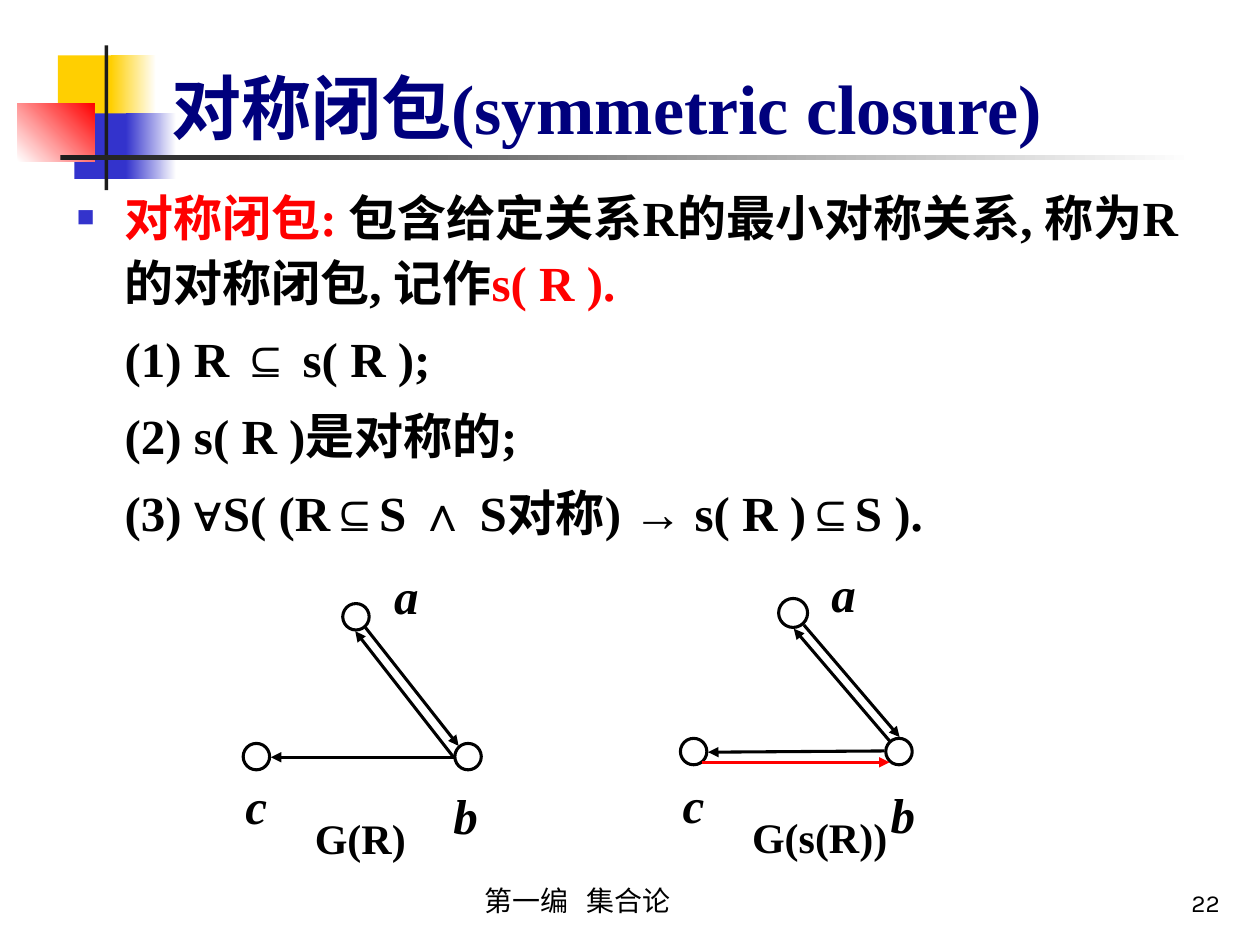
from dataclasses import dataclass

from lxml.etree import SubElement
from pptx import Presentation
from pptx.dml.color import RGBColor as Color
from pptx.enum.shapes import MSO_CONNECTOR as Connector, MSO_SHAPE as Shape
from pptx.enum.text import MSO_ANCHOR as Anchor, MSO_AUTO_SIZE as AutoSize, PP_ALIGN as Align
from pptx.oxml.ns import qn
from pptx.util import Inches, Pt


@dataclass(frozen=True)
class Theme:
    serif: str = "Times New Roman"
    sans: str = "Karla"
    black: str = "000000"
    white: str = "FFFFFF"
    navy: str = "00007D"
    red: str = "FF0000"
    blue: str = "3333CC"
    yellow: str = "FFCF01"
    dark: str = "1C1C1C"
    title: int = 40
    body: int = 28
    caption: int = 24
    footer: int = 16
    number: int = 14
    stroke: float = 1.75
    thin: float = 1.5
    spacing: float = 1.1


THEME = Theme()


def rgb(value):
    return Color.from_string(value)


def style(span, size, color=THEME.black, face=THEME.serif, bold=True, italic=False):
    font = span.font
    font.name, font.size = face, Pt(size)
    font.bold, font.italic = bold, italic
    font.color.rgb = rgb(color)


def place(item, left, top, width, height):
    item.left, item.top = Inches(left), Inches(top)
    item.width, item.height = Inches(width), Inches(height)


def add_bar(page, box, color, end=None, angle=0):
    """Borderless rectangle, plain or fading from color to end."""
    bar = page.shapes.add_shape(Shape.RECTANGLE, *map(Inches, box))
    bar.shadow.inherit = False
    bar.line.fill.background()
    if end is None:
        bar.fill.solid()
        bar.fill.fore_color.rgb = rgb(color)
        return
    bar.fill.gradient()
    bar.fill.gradient_angle = angle
    for stop, value, position in zip(bar.fill.gradient_stops, (color, end), (0, 1)):
        stop.color.rgb = rgb(value)
        stop.position = position


def add_label(shapes, text, box, size, anchor=Anchor.TOP, **look):
    label = shapes.add_textbox(*map(Inches, box))
    frame = label.text_frame
    frame.word_wrap = True
    frame.vertical_anchor = anchor
    frame.text = text
    para = frame.paragraphs[0]
    para.line_spacing = THEME.spacing
    style(para.runs[0], size, **look)
    return para


def add_ornament(page, left, top):
    """Coloured squares and the two rules beside the title."""
    def bar(x, y, width, height, *fill):
        add_bar(page, (left + x, top + y, width, height), *fill)

    bar(0.32, 0.08, 0.48, 0.52, THEME.yellow)
    bar(0.74, 0.08, 0.36, 0.52, THEME.yellow, THEME.white)
    bar(0.45, 0.54, 0.46, 0.52, THEME.blue)
    bar(0.86, 0.54, 0.4, 0.52, THEME.blue, THEME.white)
    bar(0, 0.46, 0.61, 0.46, THEME.white, THEME.red, 45)
    bar(0.69, 0, 0.03, 1.15, THEME.dark)
    bar(0.34, 0.87, 9, 0.04, THEME.dark, THEME.white)


def fill_title(page, box):
    title = page.shapes.title
    place(title, *box)
    frame = title.text_frame
    frame.text = "对称闭包(symmetric closure)"
    frame.auto_size = AutoSize.NONE
    frame.vertical_anchor = Anchor.BOTTOM
    para = frame.paragraphs[0]
    para.alignment = Align.LEFT
    style(para.runs[0], THEME.title, THEME.navy)


def set_bullet(para, first):
    """Square bullet with a hanging first line, or a plain indented line."""
    props = para._p.get_or_add_pPr()
    props.set("marL", str(Inches(0.38)))
    props.set("indent", str(Inches(-0.38) if first else 0))
    if not first:
        SubElement(props, qn("a:buNone"))
        return
    tint = SubElement(props, qn("a:buClr"))
    SubElement(tint, qn("a:srgbClr"), val=THEME.blue)
    SubElement(props, qn("a:buSzPct"), val="60000")
    SubElement(props, qn("a:buChar"), char="■")


def fill_body(page, box):
    body = page.placeholders[1]
    place(body, *box)
    frame = body.text_frame
    frame.auto_size = AutoSize.NONE
    frame.vertical_anchor = Anchor.TOP
    lines = [
        [("对称闭包: ", THEME.red),
         ("包含给定关系R的最小对称关系, 称为R的对称闭包, 记作", THEME.black),
         ("s( R ).", THEME.red)],
        [("(1) R ⊆ s( R );", THEME.black)],
        [("(2) s( R )是对称的;", THEME.black)],
        [("(3) ∀S( (R⊆S ∧ S对称) → s( R )⊆S ).", THEME.black)],
    ]
    for index, line in enumerate(lines):
        para = frame.add_paragraph() if index else frame.paragraphs[0]
        para.line_spacing = THEME.spacing
        para.space_before = Pt(7)
        set_bullet(para, first=index == 0)
        for text, color in line:
            span = para.add_run()
            span.text = text
            style(span, THEME.body, color)


def add_arrow(shapes, left, top, start, end, color=THEME.black, width=THEME.stroke):
    ends = (left + start[0], top + start[1], left + end[0], top + end[1])
    arrow = shapes.add_connector(Connector.STRAIGHT, *map(Inches, ends))
    arrow.line.color.rgb = rgb(color)
    arrow.line.width = Pt(width)
    SubElement(arrow.line._get_or_add_ln(), qn("a:tailEnd"), type="triangle")
    SubElement(arrow._element.spPr, qn("a:effectLst"))


def add_graph(page, left, top, caption, nodes, edges, added=()):
    """Directed graph; added holds the edges that the closure brings in."""
    shapes = page.shapes.add_group_shape().shapes
    for x, y, size in nodes:
        node = shapes.add_shape(
            Shape.OVAL, *map(Inches, (left + x, top + y, size, size)))
        node.shadow.inherit = False
        node.fill.background()
        node.line.color.rgb = rgb(THEME.black)
        node.line.width = Pt(THEME.stroke)
    for name, x, y in (("a", 1.18, 0), ("c", 0, 1.67), ("b", 1.65, 1.75)):
        add_label(shapes, name, (left + x, top + y, 0.47, 0.62), THEME.body, italic=True)
    add_label(shapes, caption, (left + 0.55, top + 1.97, 1.89, 0.54), THEME.caption)
    for start, end in edges:
        add_arrow(shapes, left, top, start, end)
    for start, end in added:
        add_arrow(shapes, left, top, start, end, THEME.red, THEME.thin)


def add_footer(page, top, height):
    para = add_label(page.shapes, "第一编\t集合论", (3.75, top, 3.17, height),
                     THEME.footer, Anchor.BOTTOM, bold=False)
    stops = SubElement(para._p.get_or_add_pPr(), qn("a:tabLst"))
    SubElement(stops, qn("a:tab"), pos=str(Inches(0.81)), algn="l")
    number = add_label(page.shapes, "22", (7.7, top, 2.08, height),
                       THEME.number, Anchor.BOTTOM, face=THEME.sans, bold=False)
    number.alignment = Align.RIGHT
    number.line_spacing = 1.0


def main():
    deck = Presentation()
    deck.slide_width, deck.slide_height = Inches(10), Inches(7.5)
    page = deck.slides.add_slide(deck.slide_layouts[1])
    add_ornament(page, 0.14, 0.36)
    # Text goes in front of the ornament
    for holder in list(page.placeholders):
        page.shapes._spTree.append(holder._element)
    fill_title(page, (1.26, 0.39, 8.52, 0.84))
    fill_body(page, (0.51, 1.39, 9.13, 5.36))
    # Relation and its symmetric closure
    add_graph(page, 1.85, 4.39, "G(R)",
              nodes=[(0.87, 0.4, 0.21), (0.08, 1.51, 0.21), (1.76, 1.51, 0.21)],
              edges=[((1.05, 0.59), (1.79, 1.53)), ((1.75, 1.62), (0.97, 0.62)),
                     ((1.75, 1.62), (0.3, 1.62))])
    add_graph(page, 5.32, 4.38, "G(s(R))",
              nodes=[(0.86, 0.37, 0.23), (0.08, 1.48, 0.21), (1.71, 1.48, 0.21)],
              edges=[((1.06, 0.58), (1.82, 1.47)), ((1.74, 1.5), (0.98, 0.61)),
                     ((1.7, 1.58), (0.3, 1.59))],
              added=[((0.25, 1.67), (1.74, 1.67))])
    add_footer(page, 6.83, 0.5)
    deck.save("out.pptx")


if __name__ == "__main__":
    main()
